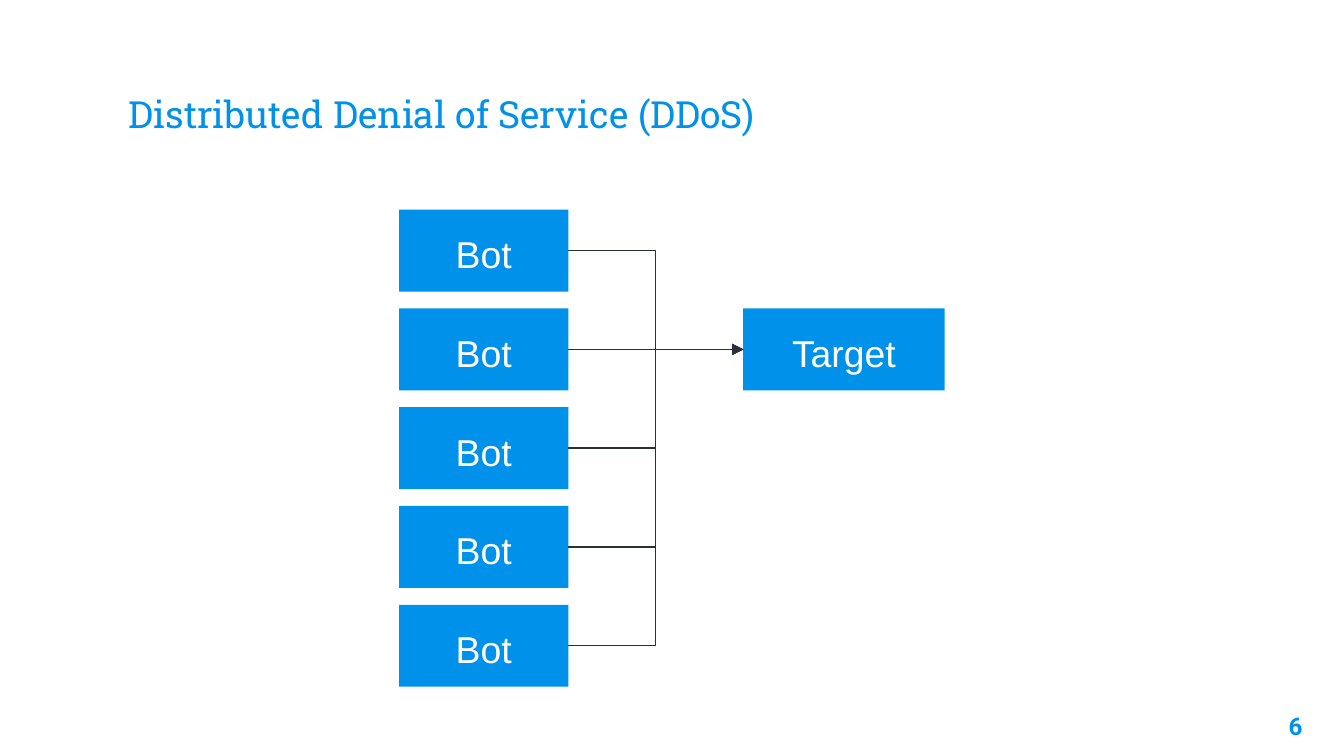
from dataclasses import dataclass

from lxml.etree import SubElement
from pptx import Presentation
from pptx.dml.color import RGBColor
from pptx.enum.shapes import MSO_CONNECTOR, MSO_SHAPE
from pptx.enum.text import MSO_ANCHOR, PP_ALIGN
from pptx.oxml.ns import qn
from pptx.shapes.autoshape import Shape
from pptx.slide import Slide
from pptx.util import Inches, Pt

BLUE = RGBColor(0x00, 0x91, 0xEA)
DARK = RGBColor(0x26, 0x32, 0x38)
WHITE = RGBColor(0xFF, 0xFF, 0xFF)

SLIDE_WIDTH = 10
SLIDE_HEIGHT = SLIDE_WIDTH * 9 / 16

BOT_COUNT = 5
FIRST_BOT_TOP, LAST_BOT_TOP = 1.56, 4.5
BOT_PITCH = (LAST_BOT_TOP - FIRST_BOT_TOP) / (BOT_COUNT - 1)
NODE_HEIGHT = 0.61
RIGHT_SITE, LEFT_SITE = 3, 1


@dataclass(frozen=True)
class Box:
    left: float
    top: float
    width: float
    height: float


@dataclass(frozen=True)
class TextStyle:
    font: str
    size: float
    color: RGBColor
    align: PP_ALIGN = PP_ALIGN.LEFT
    anchor: MSO_ANCHOR = MSO_ANCHOR.TOP
    bold: bool = False
    inset_x: float = 0.1
    inset_y: float = 0.1


TITLE = TextStyle("Roboto Slab", 20, BLUE, anchor=MSO_ANCHOR.BOTTOM)
PAGE_NUMBER = TextStyle("Roboto", 13, BLUE, PP_ALIGN.RIGHT, bold=True)
NODE = TextStyle("Arial", 20, WHITE, PP_ALIGN.CENTER, inset_x=0.2, inset_y=0.16)


def write(shape: Shape, text: str, style: TextStyle) -> None:
    frame = shape.text_frame
    frame.word_wrap = True
    frame.vertical_anchor = style.anchor
    frame.margin_left = frame.margin_right = Inches(style.inset_x)
    frame.margin_top = frame.margin_bottom = Inches(style.inset_y)
    paragraph = frame.paragraphs[0]
    paragraph.alignment = style.align
    run = paragraph.add_run()
    run.text = text
    run.font.name = style.font
    run.font.size = Pt(style.size)
    run.font.bold = style.bold
    run.font.color.rgb = style.color


def add_label(slide: Slide, text: str, box: Box, style: TextStyle) -> None:
    label = slide.shapes.add_textbox(
        Inches(box.left), Inches(box.top), Inches(box.width), Inches(box.height))
    write(label, text, style)


def add_node(slide: Slide, text: str, box: Box) -> Shape:
    node = slide.shapes.add_shape(
        MSO_SHAPE.RECTANGLE,
        Inches(box.left), Inches(box.top), Inches(box.width), Inches(box.height))
    node.shadow.inherit = False
    node.fill.solid()
    node.fill.fore_color.rgb = BLUE
    node.line.fill.background()
    write(node, text, NODE)
    return node


def add_attack(slide: Slide, bot: Shape, target: Shape) -> None:
    arrow = slide.shapes.add_connector(MSO_CONNECTOR.ELBOW, 0, 0, 0, 0)
    arrow.begin_connect(bot, RIGHT_SITE)
    arrow.end_connect(target, LEFT_SITE)
    arrow.line.color.rgb = DARK
    arrow.line.width = Pt(0.75)
    # Arrowhead at the target, and no theme shadow
    SubElement(arrow.line._get_or_add_ln(), qn("a:tailEnd"), type="triangle")
    SubElement(arrow._element.spPr, qn("a:effectLst"))


def main() -> None:
    deck = Presentation()
    deck.slide_width = Inches(SLIDE_WIDTH)
    deck.slide_height = Inches(SLIDE_HEIGHT)
    slide = deck.slides.add_slide(deck.slide_layouts[6])

    # Title and page number
    add_label(slide, "Distributed Denial of Service (DDoS)",
              Box(0.86, 0.34, 8.28, 0.77), TITLE)
    add_label(slide, "6", Box(9.19, 5.19, 0.6, 0.43), PAGE_NUMBER)

    # Column of bots, with the target level with the second one
    bots = [add_node(slide, "Bot",
                     Box(2.97, FIRST_BOT_TOP + row * BOT_PITCH, 1.26, NODE_HEIGHT))
            for row in range(BOT_COUNT)]
    target = add_node(slide, "Target",
                      Box(5.53, FIRST_BOT_TOP + BOT_PITCH, 1.5, NODE_HEIGHT))

    # Every bot attacks the target
    for bot in bots:
        add_attack(slide, bot, target)

    deck.save("out.pptx")


if __name__ == "__main__":
    main()
